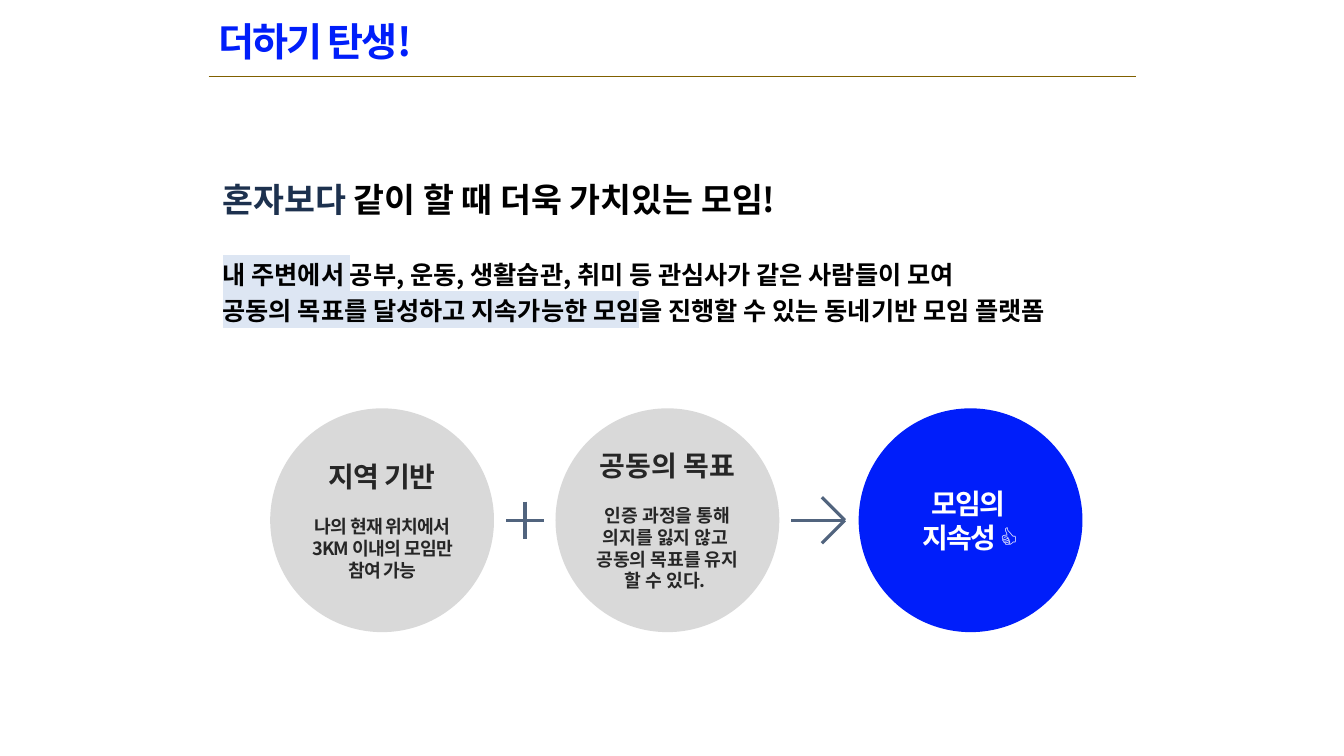
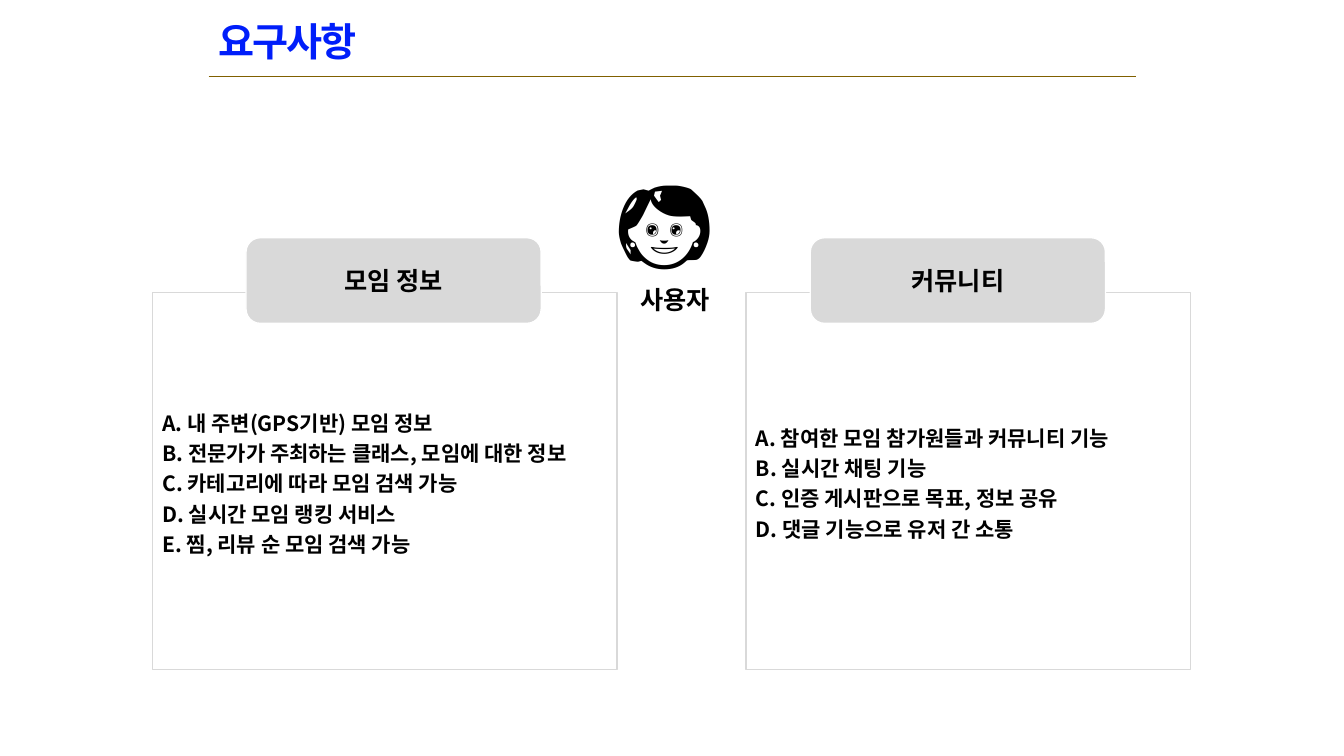
"""Build two slides that introduce a neighbourhood meeting platform and its requirements."""
from dataclasses import dataclass

from lxml.etree import SubElement
from pptx import Presentation
from pptx.dml.color import RGBColor
from pptx.enum.shapes import MSO_CONNECTOR, MSO_SHAPE
from pptx.enum.text import MSO_ANCHOR, PP_ALIGN
from pptx.oxml.ns import qn
from pptx.util import Cm, Pt


@dataclass(frozen=True)
class Theme:
    font: str = "Noto Sans CJK KR"
    label_font: str = "Arial"
    accent: str = "001EFA"
    navy: str = "1D314E"
    slate: str = "51647E"
    rule: str = "806000"
    gray: str = "D9D9D9"
    charcoal: str = "262626"
    highlight: str = "DDE6F3"
    black: str = "000000"
    white: str = "FFFFFF"
    title_size: int = 28
    headline_size: int = 24
    heading_size: int = 20
    body_size: int = 18
    list_size: int = 15
    note_size: int = 13
    icon_size: int = 66


class Deck:
    def __init__(self, theme):
        self.theme = theme
        self.presentation = Presentation()
        self.presentation.slide_width = Cm(33.87)
        self.presentation.slide_height = Cm(19.05)
        self.slide = None

    def start_slide(self, title):
        self.slide = self.presentation.slides.add_slide(self.presentation.slide_layouts[6])
        self.line((5.26, 1.93), (28.63, 1.93), self.theme.rule, 0.25)
        frame = self.text_box(5.26, 0.28, 19.43, 1.63, MSO_ANCHOR.MIDDLE)
        self.add_text(frame, title, self.theme.title_size, self.theme.accent,
                      tracking=-1.5, line_spacing=0.9)

    def line(self, start, end, color, width):
        connector = self.slide.shapes.add_connector(
            MSO_CONNECTOR.STRAIGHT, *(Cm(value) for value in (*start, *end)))
        connector.line.color.rgb = RGBColor.from_string(color)
        connector.line.width = Pt(width)
        SubElement(connector.element.spPr, qn("a:effectLst"))

    def text_box(self, left, top, width, height, anchor=MSO_ANCHOR.TOP):
        box = self.slide.shapes.add_textbox(Cm(left), Cm(top), Cm(width), Cm(height))
        frame = box.text_frame
        frame.word_wrap = True
        frame.vertical_anchor = anchor
        return frame

    def shape(self, kind, left, top, width, height, fill, border=None):
        shape = self.slide.shapes.add_shape(kind, Cm(left), Cm(top), Cm(width), Cm(height))
        shape.shadow.inherit = False
        shape.fill.solid()
        shape.fill.fore_color.rgb = RGBColor.from_string(fill)
        if border:
            shape.line.color.rgb = RGBColor.from_string(border)
            shape.line.width = Pt(1)
        else:
            shape.line.fill.background()
        frame = shape.text_frame
        frame.word_wrap = True
        frame.vertical_anchor = MSO_ANCHOR.MIDDLE
        return frame

    def add_text(self, frame, text, size, color, align=PP_ALIGN.LEFT, bold=True, font=None,
                 tracking=0, line_spacing=None, space_before=0):
        paragraph = frame.paragraphs[0]
        if paragraph.runs:
            paragraph = frame.add_paragraph()
            paragraph.space_before = Pt(space_before)
        paragraph.alignment = align
        if line_spacing:
            paragraph.line_spacing = line_spacing
        paragraph.font.size = Pt(size)
        paragraph.font.bold = bold
        paragraph.font.color.rgb = RGBColor.from_string(color)
        paragraph.font.name = font or self.theme.font
        properties = paragraph._p.pPr.find(qn("a:defRPr"))
        SubElement(properties, qn("a:ea"), typeface=self.theme.font)
        if tracking:
            properties.set("spc", str(round(tracking * 100)))
        paragraph.add_run().text = text
        return paragraph

    def highlight(self, run):
        mark = SubElement(run._r.get_or_add_rPr(), qn("a:highlight"))
        SubElement(mark, qn("a:srgbClr"), val=self.theme.highlight)

    def circle(self, left, fill, color, heading, notes=(), tracking=0):
        frame = self.shape(MSO_SHAPE.OVAL, left, 10.29, 5.64, 5.64, fill)
        frame.margin_left = frame.margin_right = frame.margin_top = frame.margin_bottom = 0
        for text in heading:
            self.add_text(frame, text, self.theme.heading_size, color, PP_ALIGN.CENTER,
                          tracking=tracking)
        for index, text in enumerate(notes):
            self.add_text(frame, text, self.theme.note_size, color, PP_ALIGN.CENTER,
                          tracking=tracking, space_before=0 if index else 15.5)

    def plus(self, x, y, arm):
        self.line((x - arm, y), (x + arm, y), self.theme.slate, 2.25)
        self.line((x, y - arm), (x, y + arm), self.theme.slate, 2.25)

    def arrow(self, x, y, length, wing):
        for start in ((x - length, y), (x - wing, y - wing), (x - wing, y + wing)):
            self.line(start, (x, y), self.theme.slate, 2.25)

    def panel(self, left, width, tab_left, heading, items):
        theme = self.theme
        frame = self.shape(MSO_SHAPE.RECTANGLE, left, 7.37, width, 9.5, theme.white, theme.gray)
        for item in items:
            self.add_text(frame, item, theme.list_size, theme.black, line_spacing=1.2)
        tab = self.shape(MSO_SHAPE.ROUNDED_RECTANGLE, tab_left, 5.99, 7.44, 2.16,
                         theme.gray, theme.white)
        self.add_text(tab, heading, theme.body_size, theme.black, PP_ALIGN.CENTER)


def build_concept(deck):
    theme = deck.theme
    deck.start_slide("더하기 탄생!")
    deck.arrow(21.29, 13.11, 1.35, 0.58)
    deck.plus(13.23, 13.11, 0.47)
    deck.circle(14, theme.gray, theme.charcoal, ["공동의 목표"],
                ["인증 과정을 통해", "의지를 잃지 않고 ", "공동의 목표를 유지", "할 수 있다. "])
    deck.circle(6.81, theme.gray, theme.charcoal, ["지역 기반"],
                ["나의 현재 위치에서 3KM 이내의 모임만 참여 가능"], tracking=-0.5)
    deck.circle(21.64, theme.accent, theme.white, ["모임의 ", "지속성 👍"], tracking=-1.2)

    frame = deck.text_box(5.36, 4.39, 22.3, 6.43)
    headline = deck.add_text(frame, "혼자보다 ", theme.headline_size, theme.black)
    headline.runs[0].font.color.rgb = RGBColor.from_string(theme.navy)
    headline.add_run().text = "같이 할 때 더욱 가치있는 모임!"
    sentences = (
        ("내 주변에서 ", "공부, 운동, 생활습관, 취미 등 관심사가 같은 사람들이 모여", 24),
        ("공동의 목표를 달성하고 지속가능한 모임", "을 진행할 수 있는 동네기반 모임 플랫폼", 0),
    )
    for marked, rest, gap in sentences:
        paragraph = deck.add_text(frame, marked, theme.body_size, theme.black,
                                  line_spacing=1.2, space_before=gap)
        deck.highlight(paragraph.runs[0])
        paragraph.add_run().text = rest


def build_requirements(deck):
    theme = deck.theme
    deck.start_slide("요구사항")
    icon = deck.text_box(15.34, 3.96, 4.34, 3.07)
    deck.add_text(icon, "👩", theme.icon_size, theme.black, bold=False, font=theme.label_font)
    label = deck.text_box(15.88, 7.04, 5.59, 1.04)
    deck.add_text(label, "사용자", theme.body_size, theme.black, font=theme.label_font)
    deck.panel(3.84, 11.71, 6.2, "모임 정보", [
        "A. 내 주변(GPS기반) 모임 정보",
        "B. 전문가가 주최하는 클래스, 모임에 대한 정보",
        "C. 카테고리에 따라 모임 검색 가능",
        "D. 실시간 모임 랭킹 서비스",
        "E. 찜, 리뷰 순 모임 검색 가능",
    ])
    deck.panel(18.8, 11.2, 20.42, "커뮤니티", [
        "A. 참여한 모임 참가원들과 커뮤니티 기능",
        "B. 실시간 채팅 기능",
        "C. 인증 게시판으로 목표, 정보 공유",
        "D. 댓글 기능으로 유저 간 소통",
    ])


def main():
    deck = Deck(Theme())
    build_concept(deck)
    build_requirements(deck)
    deck.presentation.save("out.pptx")


if __name__ == "__main__":
    main()
